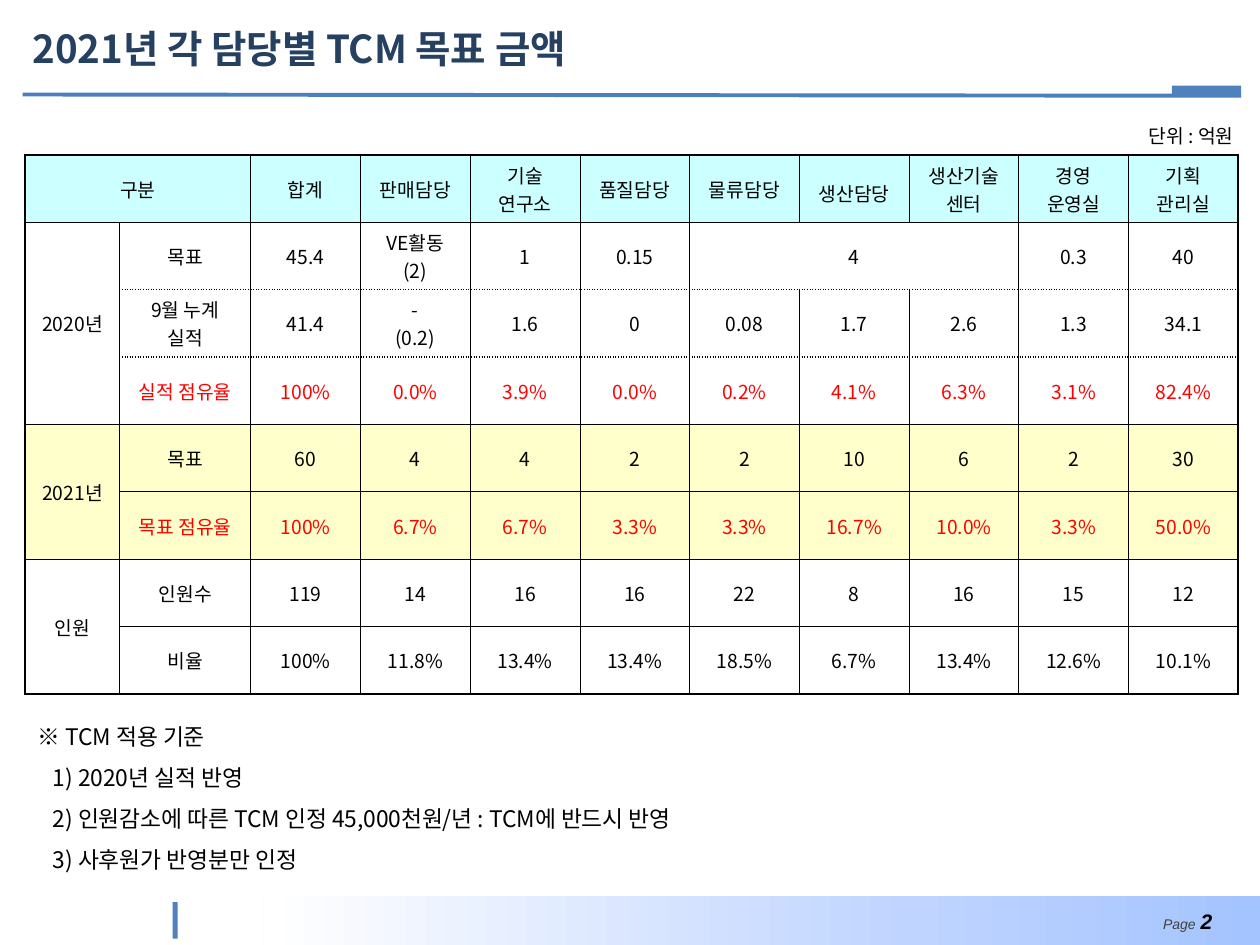
import pptx
import pptx.util
import pptx.dml.color
import pptx.enum.shapes
import pptx.enum.text
import pptx.oxml
import pptx.oxml.ns
import copy
import lxml.etree

Inches, Pt = pptx.util.Inches, pptx.util.Pt
ALIGN = pptx.enum.text.PP_ALIGN
MIDDLE = pptx.enum.text.MSO_ANCHOR.MIDDLE
qn = pptx.oxml.ns.qn
FONT = "Noto Sans CJK KR"
COLORS = {
    "black": "000000", "red": "FF0000", "navy": "254061", "grey": "404040",
    "blue": "4F81BD", "rule": "4B7EBC", "white": "FFFFFF",
    "header": "CCFFFF", "plan": "FFFFCC",
    "bar_start": "A4C4FF", "bar_mid": "BFD4FF",
}

ROWS = [
    ["구분", "", "합계", "판매담당", "기술\n연구소", "품질담당", "물류담당",
     "생산담당", "생산기술\n센터", "경영\n운영실", "기획\n관리실"],
    ["2020년", "목표", "45.4", "VE활동\n(2)", "1", "0.15", "4", "", "", "0.3", "40"],
    ["", "9월 누계\n실적", "41.4", "-\n(0.2)", "1.6", "0", "0.08", "1.7", "2.6",
     "1.3", "34.1"],
    ["", "실적 점유율", "100%", "0.0%", "3.9%", "0.0%", "0.2%", "4.1%", "6.3%",
     "3.1%", "82.4%"],
    ["2021년", "목표", "60", "4", "4", "2", "2", "10", "6", "2", "30"],
    ["", "목표 점유율", "100%", "6.7%", "6.7%", "3.3%", "3.3%", "16.7%", "10.0%",
     "3.3%", "50.0%"],
    ["인원", "인원수", "119", "14", "16", "16", "22", "8", "16", "15", "12"],
    ["", "비율", "100%", "11.8%", "13.4%", "13.4%", "18.5%", "6.7%", "13.4%",
     "12.6%", "10.1%"],
]
# First row, first column, last row, last column
MERGES = [(0, 0, 0, 1), (1, 0, 3, 0), (1, 6, 1, 8), (4, 0, 5, 0), (6, 0, 7, 0)]
ROW_FILLS = ["header"] + ["white"] * 3 + ["plan"] * 2 + ["white"] * 2
RED_ROWS = (3, 5)
DOTTED_EDGES = (2, 3)


def rgb(name):
    """Return the named colour."""
    return pptx.dml.color.RGBColor.from_string(COLORS[name])


def set_attrs(obj, values):
    """Set attributes from a dict."""
    for key, value in values.items():
        setattr(obj, key, value)


def add_run(p, text, size, color="black", font=FONT, **style):
    """Add a formatted run to a paragraph."""
    r = p.add_run()
    r.text = text
    set_attrs(r.font, {"size": Pt(size), "name": font, **style})
    r.font.color.rgb = rgb(color)
    ea = lxml.etree.SubElement(r.font._element, qn("a:ea"))
    ea.set("typeface", font)


def add_lines(tf, lines, size, color="black", fmt=None, **style):
    """Fill a text frame with one paragraph for each line."""
    for i, line in enumerate(lines):
        p = tf.add_paragraph() if i else tf.paragraphs[0]
        set_attrs(p, fmt or {})
        add_run(p, line, size, color, **style)


def add_box(slide, box):
    """Add a wrapping, middle-anchored text box and return its frame."""
    tf = slide.shapes.add_textbox(*map(Inches, box)).text_frame
    set_attrs(tf, {"word_wrap": True, "vertical_anchor": MIDDLE})
    return tf


def add_rect(slide, box, color):
    """Add a rectangle without outline."""
    rect = pptx.enum.shapes.MSO_SHAPE.RECTANGLE
    sp = slide.shapes.add_shape(rect, *map(Inches, box))
    sp.shadow.inherit = False
    sp.fill.solid()
    sp.fill.fore_color.rgb = rgb(color)
    sp.line.fill.background()
    return sp


def add_gradient(sp, stops, angle):
    """Give a shape a linear gradient of (position, colour) stops."""
    sp.fill.gradient()
    sp.fill.gradient_angle = angle
    gs_list = sp.fill.gradient_stops[0]._gs.getparent()
    while len(gs_list) < len(stops):
        gs_list.append(copy.deepcopy(gs_list[-1]))
    for stop, (position, color) in zip(sp.fill.gradient_stops, stops):
        stop.position = position
        stop.color.rgb = rgb(color)


def add_rule(slide, x1, y1, x2, y2):
    """Add the line under the title."""
    kind = pptx.enum.shapes.MSO_CONNECTOR.STRAIGHT
    line = slide.shapes.add_connector(kind, *map(Inches, (x1, y1, x2, y2)))
    line.line.width = Pt(2.25)
    line.line.color.rgb = rgb("rule")
    lxml.etree.SubElement(line._element.spPr, qn("a:effectLst"))


def set_borders(cell, edges):
    """Set the left, right, top and bottom borders as (width, dash)."""
    tc_pr = cell._tc.get_or_add_tcPr()
    for i, (side, (width, dash)) in enumerate(zip("LRTB", edges)):
        ln = lxml.etree.Element(qn("a:ln" + side), w=str(Pt(width)))
        fill = lxml.etree.SubElement(ln, qn("a:solidFill"))
        lxml.etree.SubElement(fill, qn("a:srgbClr"), val=COLORS["black"])
        lxml.etree.SubElement(ln, qn("a:prstDash"), val=dash)
        tc_pr.insert(i, ln)


def edge_style(index, last, dotted=()):
    """Return the border of a grid line: thick outside, dotted or thin inside."""
    if index in (0, last):
        return 1.5, "solid"
    return (1, "sysDot") if index in dotted else (0.5, "solid")


def add_target_table(slide):
    """Add the table of targets for each division."""
    n_rows, n_cols = len(ROWS), len(ROWS[0])
    frame = slide.shapes.add_table(n_rows, n_cols, *map(Inches, (0.2, 1.23, 9.63, 4.28)))
    table = frame.table
    set_attrs(table, {"first_row": False, "horz_banding": False})
    for col, width in zip(table.columns, [0.75, 1.04] + [0.871] * 9):
        col.width = Inches(width)
    for row in table.rows:
        row.height = Inches(4.28 / n_rows)
    for r1, c1, r2, c2 in MERGES:
        table.cell(r1, c1).merge(table.cell(r2, c2))

    margins = {f"margin_{side}": Inches(0.01) for side in ("left", "right", "top", "bottom")}
    for i, row in enumerate(ROWS):
        for j, text in enumerate(row):
            cell = table.cell(i, j)
            if cell.is_spanned:
                continue
            set_attrs(cell, {"vertical_anchor": MIDDLE, **margins})
            cell.fill.solid()
            cell.fill.fore_color.rgb = rgb(ROW_FILLS[i])
            fmt = {"alignment": ALIGN.CENTER}
            if text == "생산담당":
                fmt["line_spacing"] = 1.3
            color = "red" if i in RED_ROWS else "black"
            add_lines(cell.text_frame, text.split("\n"), 11, color, fmt)
            bottom = i + (cell.span_height if cell.is_merge_origin else 1)
            right = j + (cell.span_width if cell.is_merge_origin else 1)
            set_borders(cell, [edge_style(j, n_cols), edge_style(right, n_cols),
                               edge_style(i, n_rows, DOTTED_EDGES),
                               edge_style(bottom, n_rows, DOTTED_EDGES)])


def add_frame(slide):
    """Add the footer bar, the title rule and the page number."""
    bar = add_rect(slide, (2.09, 7.11, 7.91, 0.39), "bar_mid")
    add_gradient(bar, [(0, "bar_start"), (0.35, "bar_mid"), (1, "white")], 180)
    add_rect(slide, (1.37, 7.16, 0.04, 0.29), "blue")
    add_rule(slide, 0.18, 0.75, 9.85, 0.76)
    add_rect(slide, (9.3, 0.68, 0.55, 0.08), "blue")
    p = add_box(slide, (8.7, 7.15, 1.02, 0.32)).paragraphs[0]
    p.alignment = ALIGN.RIGHT
    add_run(p, "Page", 8, "grey", "Arial", italic=True)
    add_run(p, " ", 10, "grey", "Arial", italic=True)
    add_run(p, "2", 12, "black", "Arial", italic=True, bold=True)


def add_notes(slide):
    """Add the criteria, with the numbered lines indented."""
    tf = add_box(slide, (0.2, 5.55, 9.66, 1.45))
    add_lines(tf, ["※ TCM 적용 기준", "1) 2020년 실적 반영",
                   "2) 인원감소에 따른 TCM 인정 45,000천원/년 : TCM에 반드시 반영",
                   "3) 사후원가 반영분만 인정"], 13, fmt={"line_spacing": 1.5})
    for p in tf.paragraphs[1:]:
        p._p.get_or_add_pPr().set("marL", str(Inches(0.12)))


def main():
    """Build the slide and save it."""
    prs = pptx.Presentation()
    set_attrs(prs, {"slide_width": Inches(10), "slide_height": Inches(7.5)})
    slide = prs.slides.add_slide(prs.slide_layouts[6])
    add_frame(slide)
    title = add_box(slide, (0.16, 0, 6.07, 0.76))
    add_lines(title, ["2021년 각 담당별 TCM 목표 금액"], 22, "navy", bold=True)
    add_target_table(slide)
    add_notes(slide)
    unit = add_box(slide, (8.36, 0.89, 1.53, 0.29))
    add_lines(unit, ["단위 : 억원"], 11,
              fmt={"alignment": ALIGN.RIGHT, "line_spacing": 1.5})
    prs.save("out.pptx")


main()
